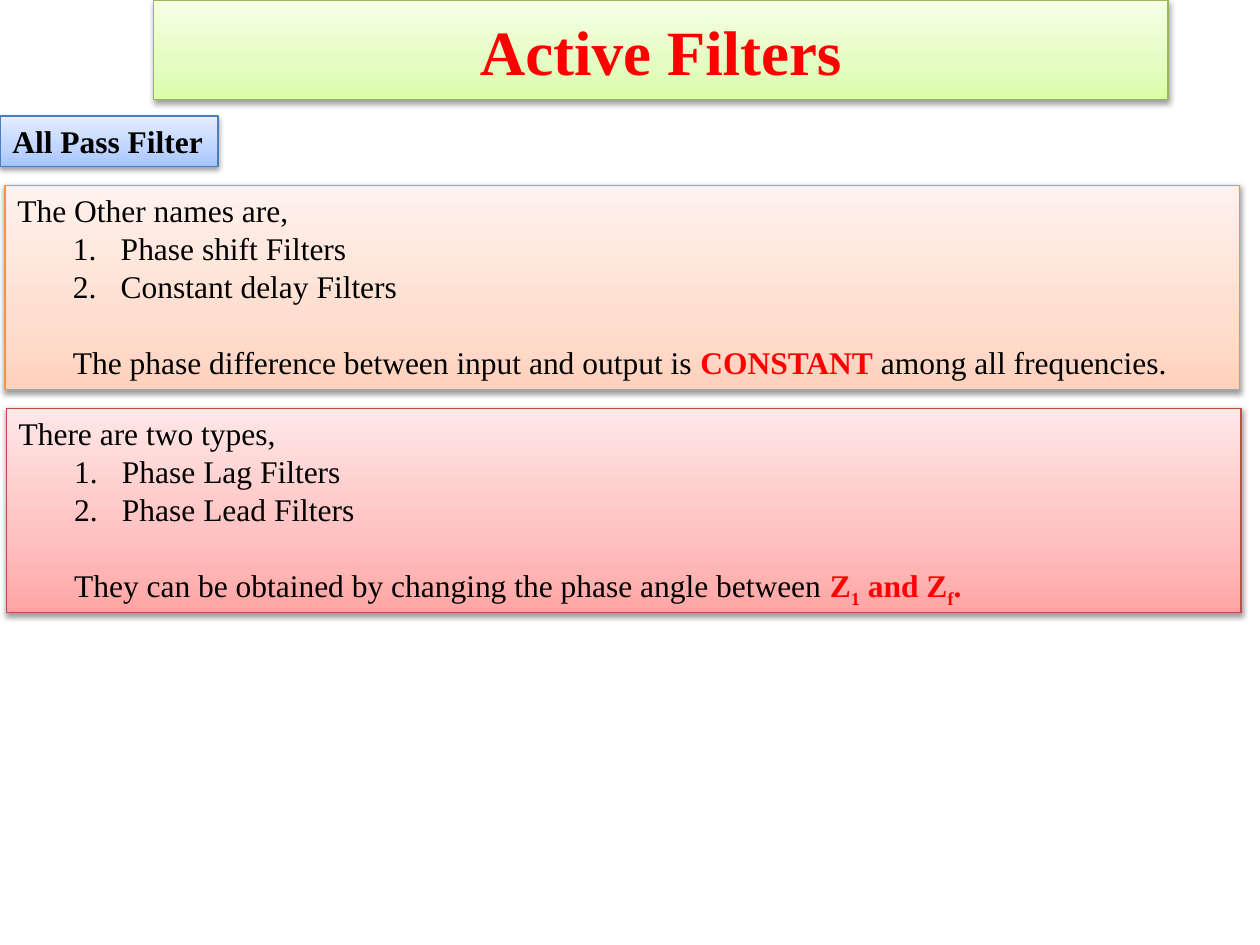
"""Build the slide on all pass filters."""
from dataclasses import dataclass
from typing import NamedTuple

from lxml import etree
from pptx import Presentation
from pptx import util as u
from pptx.dml import color
from pptx.enum import shapes, text
from pptx.oxml import ns

FONT = "Times New Roman"
COLUMNS, ROWS = 100, 75
COLORS = {
    "text": "000000", "accent": "FF0000",
    "green_line": "98B955", "blue_line": "4B7EBC",
    "orange_line": "F69240", "red_line": "BF4C48",
}
GRADIENTS = {
    "green": ("DAFDA7", "E4FCC2", "F5FFE7"),
    "blue": ("A4C4FF", "BFD4FF", "E6EEFF"),
    "orange": ("FFD2BD", "FFDED0", "FFF2ED"),
    "red": ("FFA6A5", "FFC0BF", "FFE7E7"),
}
STOPS = (0, 35000, 100000)


class Span(NamedTuple):
    words: str
    bold: bool = False
    color: str = "text"
    size: int = 18
    baseline: int = 0


@dataclass
class Para:
    spans: list[Span]
    align: text.PP_ALIGN = text.PP_ALIGN.JUSTIFY
    indented: bool = False
    numbered: bool = False
    before: float = 0


@dataclass
class Panel:
    left: float
    top: float
    width: float
    height: float
    theme: str
    paras: list[Para]
    anchor: text.MSO_ANCHOR = text.MSO_ANCHOR.TOP
    wrap: bool = True
    grow: bool = True


def add_child(parent, tag: str, **attributes):
    """Append a drawing element with its attributes."""
    values = {name: str(value) for name, value in attributes.items()}
    return etree.SubElement(parent, ns.qn(tag), values)


def style_panel(box, theme: str) -> None:
    """Give a box its outline, upward gradient and soft shadow."""
    box.line.color.rgb = color.RGBColor.from_string(COLORS[f"{theme}_line"])
    box.line.width = u.Pt(0.75)
    box.shadow.inherit = False
    properties = box._element.spPr

    gradient = add_child(properties, "a:gradFill", rotWithShape=1)
    stops = add_child(gradient, "a:gsLst")
    for position, shade in zip(STOPS, GRADIENTS[theme]):
        stop = add_child(stops, "a:gs", pos=position)
        add_child(stop, "a:srgbClr", val=shade)
    add_child(gradient, "a:lin", ang=16200000, scaled=1)
    properties.find(ns.qn("a:prstGeom")).addnext(gradient)

    shadow = add_child(properties.find(ns.qn("a:effectLst")), "a:outerShdw",
                       blurRad=40000, dist=20000, dir=5400000, rotWithShape=0)
    shade = add_child(shadow, "a:srgbClr", val=COLORS["text"])
    add_child(shade, "a:alpha", val=38000)


def write_para(paragraph, para: Para) -> None:
    """Write one paragraph run by run."""
    paragraph.alignment = para.align
    if para.before:
        paragraph.space_before = u.Pt(para.before)
    properties = paragraph._p.get_or_add_pPr()
    if para.indented:
        properties.set("marL", str(u.Inches(0.82)))
        properties.set("indent", str(u.Inches(-0.38)))
    if para.numbered:
        add_child(properties, "a:buFont", typeface="+mj-lt")
        add_child(properties, "a:buAutoNum", type="arabicPeriod")
    for span in para.spans:
        run = paragraph.add_run()
        run.text = span.words
        run.font.name = FONT
        run.font.size = u.Pt(span.size)
        run.font.bold = span.bold
        run.font.color.rgb = color.RGBColor.from_string(COLORS[span.color])
        if span.baseline:
            run._r.get_or_add_rPr().set("baseline", str(span.baseline * 1000))


def draw_panel(deck, page, panel: Panel) -> None:
    """Draw a panel placed on the slide grid."""
    column, row = deck.slide_width / COLUMNS, deck.slide_height / ROWS
    box = page.shapes.add_shape(
        shapes.MSO_SHAPE.RECTANGLE,
        round(panel.left * column), round(panel.top * row),
        round(panel.width * column), round(panel.height * row))
    style_panel(box, panel.theme)
    frame = box.text_frame
    frame.word_wrap = panel.wrap
    frame.vertical_anchor = panel.anchor
    if panel.grow:
        frame.auto_size = text.MSO_AUTO_SIZE.SHAPE_TO_FIT_TEXT
    for index, para in enumerate(panel.paras):
        write_para(frame.add_paragraph() if index else frame.paragraphs[0], para)


def list_panel(left: float, top: float, theme: str, intro: str,
               items: list[str], closing: list[Span]) -> Panel:
    """Describe a panel with an intro, a numbered list and a closing line."""
    numbered = [Para([Span(item)], indented=True, numbered=True) for item in items]
    return Panel(left, top, 98, 16.2, theme, [
        Para([Span(intro)]), *numbered,
        Para(closing, indented=True, before=21.6)])


def accent(words: str, baseline: int = 0) -> Span:
    """Describe a bold highlighted span."""
    return Span(words, True, "accent", baseline=baseline)


PANELS = [
    Panel(12.2, 0, 80.5, 7.9, "green",
          [Para([Span("Active Filters", True, "accent", 36)], text.PP_ALIGN.CENTER)],
          anchor=text.MSO_ANCHOR.MIDDLE, grow=False),
    Panel(0, 9.2, 17.3, 4, "blue",
          [Para([Span("All Pass Filter", True)], text.PP_ALIGN.LEFT)], wrap=False),
    list_panel(0.4, 14.7, "orange", "The Other names are,",
               ["Phase shift Filters", "Constant delay Filters"],
               [Span("The phase difference between input and output is "),
                accent("CONSTANT"), Span(" among all frequencies.")]),
    list_panel(0.5, 32.4, "red", "There are two types, ",
               ["Phase Lag Filters", "Phase Lead Filters"],
               [Span("They can be obtained by changing the phase angle between "),
                accent("Z"), accent("1", -25), accent(" and Z"),
                accent("f", -25), accent(".")]),
]


def main() -> None:
    """Build and save the deck."""
    deck = Presentation()
    deck.slide_width, deck.slide_height = u.Inches(10), u.Inches(7.5)
    page = deck.slides.add_slide(deck.slide_layouts[6])
    for panel in PANELS:
        draw_panel(deck, page, panel)
    deck.save("out.pptx")


if __name__ == "__main__":
    main()
